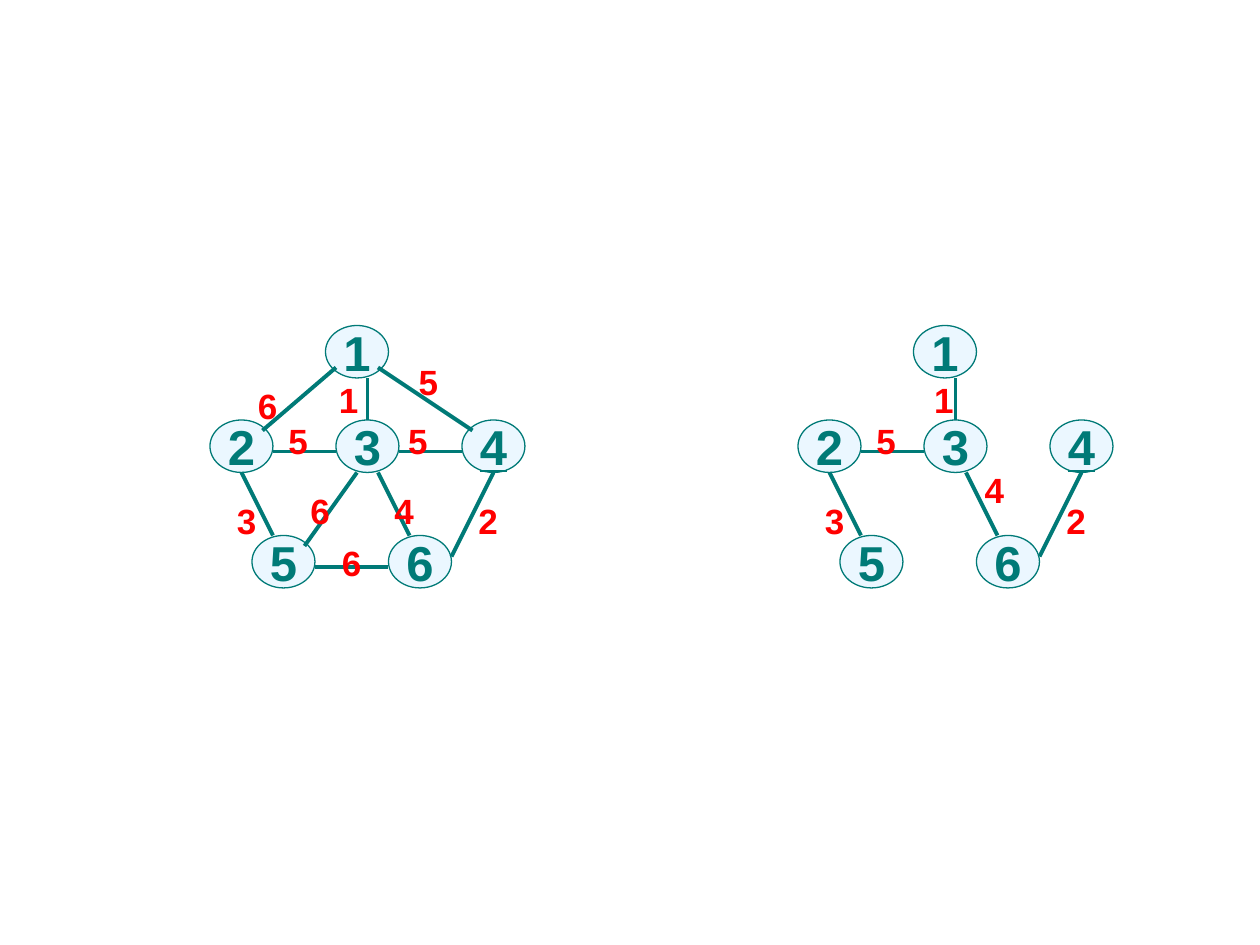
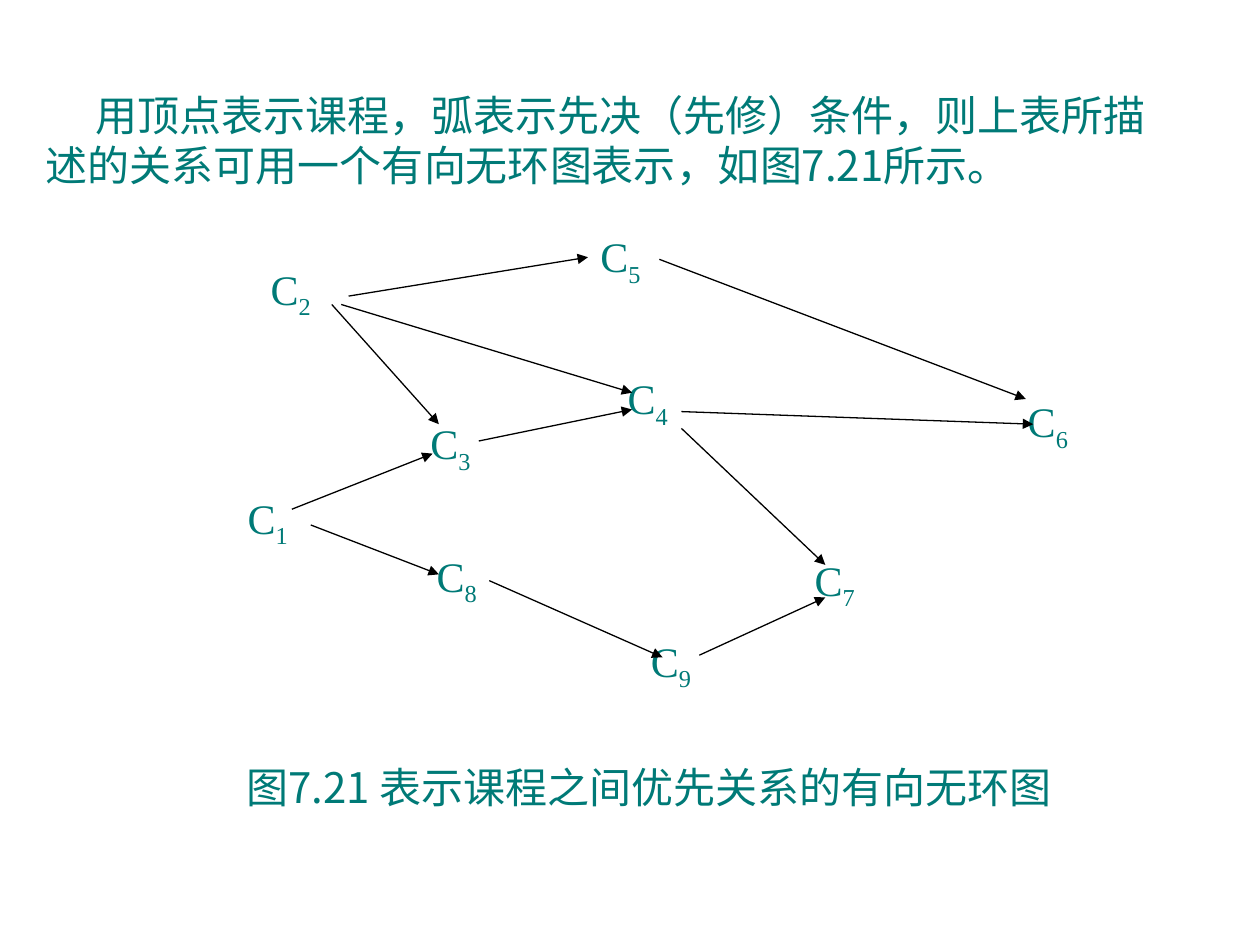
from lxml import etree
from pptx import Presentation
from pptx.dml.color import RGBColor
from pptx.enum.shapes import MSO_CONNECTOR as Conn, MSO_SHAPE as Shape
from pptx.enum.text import MSO_ANCHOR as Anchor, PP_ALIGN as Align
from pptx.oxml.ns import qn
from pptx.util import Inches, Pt

TEAL = RGBColor(0x00, 0x7A, 0x77)
PALE = RGBColor(0xEB, 0xF7, 0xFF)
RED = RGBColor(0xFF, 0x00, 0x00)
BLACK = RGBColor(0x00, 0x00, 0x00)
SANS, SERIF, HAN = "Arial", "Times New Roman", "Noto Sans CJK SC"

COLS, ROWS = 120, 90
NODE = (6, 5)
MARK = (5, 5.3)
NAME = (11.4, 9.2)

NODES = {1: (31, 31), 2: (20, 40), 3: (32, 40), 4: (44, 40), 5: (24, 51), 6: (37, 51)}
# (node, node): start, end, weight, corner of the weight's box
EDGES = {
    (2, 3): ((26, 43), (32, 43), 5, (25.9, 39.4)),
    (3, 4): ((38, 43), (44, 43), 5, (37.3, 39.4)),
    (1, 3): ((35, 36), (35, 40), 1, (30.7, 35.5)),
    (2, 5): ((23, 45), (26, 51), 3, (21, 47)),
    (3, 5): ((29, 52), (34, 45), 6, (28, 46)),
    (3, 6): ((36, 45), (39, 51), 4, (36, 46)),
    (4, 6): ((43, 53), (47, 45), 2, (44, 47)),
    (5, 6): ((30, 54), (37, 54), 6, (31, 51)),
    (1, 2): ((25, 41), (32, 35), 6, (23, 36)),
    (1, 4): ((45, 41), (36, 35), 5, (38.3, 33.7)),
}
TREE = {pair: EDGES[pair] for pair in [(2, 3), (1, 3), (2, 5), (3, 6), (4, 6)]}
TREE[1, 3] = (*EDGES[1, 3][:3], (31.4, 35.5))
TREE[3, 6] = (*EDGES[3, 6][:3], (36.2, 44))
TREE_COL = 56

COURSES = [
    (22.4, 46.3), (24.6, 24.5), (39.8, 39.2), (58.6, 34.9), (56, 21.4),
    (96.7, 37.1), (76.4, 52.2), (40.4, 51.8), (60.8, 59.9),
]
ARCS = {
    (1, 3): ((27.8, 48.5), (41.2, 43.2)),
    (2, 3): ((31.6, 29), (41.8, 40.4)),
    (1, 8): ((29.6, 50), (41.8, 54.7)),
    (8, 9): ((46.6, 55.3), (63.1, 62.6)),
    (2, 5): ((33.2, 28.2), (56, 24.5)),
    (2, 4): ((32.5, 29), (60.2, 37.4)),
    (5, 6): ((62.8, 24.7), (97.7, 38)),
    (4, 6): ((64.9, 39.2), (98.4, 40.4)),
    (4, 7): ((64.9, 40.8), (78.6, 53.8)),
    (9, 7): ((66.6, 62.4), (78.6, 56.9)),
    (3, 4): ((45.6, 42), (60.2, 39)),
}


def put(frame, text, sub="", size=24, font=SANS, color=TEAL, bold=False,
        under=False, align=Align.CENTER, anchor=Anchor.TOP, wrap=True,
        indent=0, pitch=None):
    """Write text, and a subscript after it, as one paragraph."""
    frame.word_wrap, frame.vertical_anchor = wrap, anchor
    para = frame.paragraphs[0]
    para.alignment = align
    if pitch:
        para.line_spacing = Pt(pitch)
    if indent:
        para._p.get_or_add_pPr().set("indent", str(Inches(indent)))
    for part in filter(None, (text, sub)):
        run = para.add_run()
        run.text = part
        face = run.font
        face.name, face.size, face.bold = font, Pt(size), bold
        face.underline, face.color.rgb = under, color
        props = run._r.get_or_add_rPr()
        etree.SubElement(props, qn("a:ea")).set("typeface", font)
        if part == sub:
            props.set("baseline", "-25000")


class Deck:
    def __init__(self):
        self.prs = Presentation()
        self.prs.slide_width, self.prs.slide_height = Inches(10), Inches(7.5)

    def page(self):
        self.shapes = self.prs.slides.add_slide(self.prs.slide_layouts[6]).shapes

    def cells(self, *spans):
        """Turn column, row, column, row ... into lengths."""
        units = (self.prs.slide_width / COLS, self.prs.slide_height / ROWS)
        return [round(span * units[i % 2]) for i, span in enumerate(spans)]

    def text(self, spot, area, text, **style):
        box = self.shapes.add_textbox(*self.cells(*spot, *area))
        put(box.text_frame, text, **style)

    def node(self, spot, num):
        oval = self.shapes.add_shape(Shape.OVAL, *self.cells(*spot, *NODE))
        oval.shadow.inherit = False
        oval.fill.solid()
        oval.fill.fore_color.rgb = PALE
        oval.line.color.rgb, oval.line.width = TEAL, Pt(0.75)
        put(oval.text_frame, str(num), size=28, bold=True, under=num == 4,
            anchor=Anchor.MIDDLE, wrap=False)

    def line(self, start, end, color=TEAL, width=2.25, arrow=False):
        link = self.shapes.add_connector(Conn.STRAIGHT, *self.cells(*start, *end))
        link.line.color.rgb, link.line.width = color, Pt(width)
        if arrow:
            etree.SubElement(link.line._get_or_add_ln(), qn("a:tailEnd")).set("type", "triangle")
        etree.SubElement(link._element.spPr, qn("a:effectLst"))

    def graph(self, edges, shift=0):
        """Draw all nodes and the given weighted edges, moved right by shift."""
        def move(spot):
            return spot[0] + shift, spot[1]

        for num, spot in NODES.items():
            self.node(move(spot), num)
        for start, end, _, _ in edges.values():
            self.line(move(start), move(end))
        for _, _, weight, spot in edges.values():
            self.text(move(spot), MARK, str(weight), size=20, color=RED, bold=True)


def main():
    deck = Deck()

    deck.page()
    deck.graph(EDGES)
    deck.graph(TREE, TREE_COL)

    deck.page()
    for num, spot in enumerate(COURSES, 1):
        deck.text(spot, NAME, "C", sub=str(num), font=SERIF, align=Align.JUSTIFY)
    for start, end in ARCS.values():
        deck.line(start, end, color=BLACK, width=0.75, arrow=True)
    deck.text((20.3, 71.5), (83, 10.3), "图7.21 表示课程之间优先关系的有向无环图",
              font=HAN, pitch=31.5)
    deck.text((3.2, 7.9), (110.5, 10.8),
              "用顶点表示课程，弧表示先决（先修）条件，则上表所描述的关系可用一个有向无环图表示，如图7.21所示。",
              font=HAN, align=Align.LEFT, anchor=Anchor.MIDDLE, indent=0.39, pitch=28.8)

    deck.prs.save("out.pptx")


if __name__ == "__main__":
    main()
